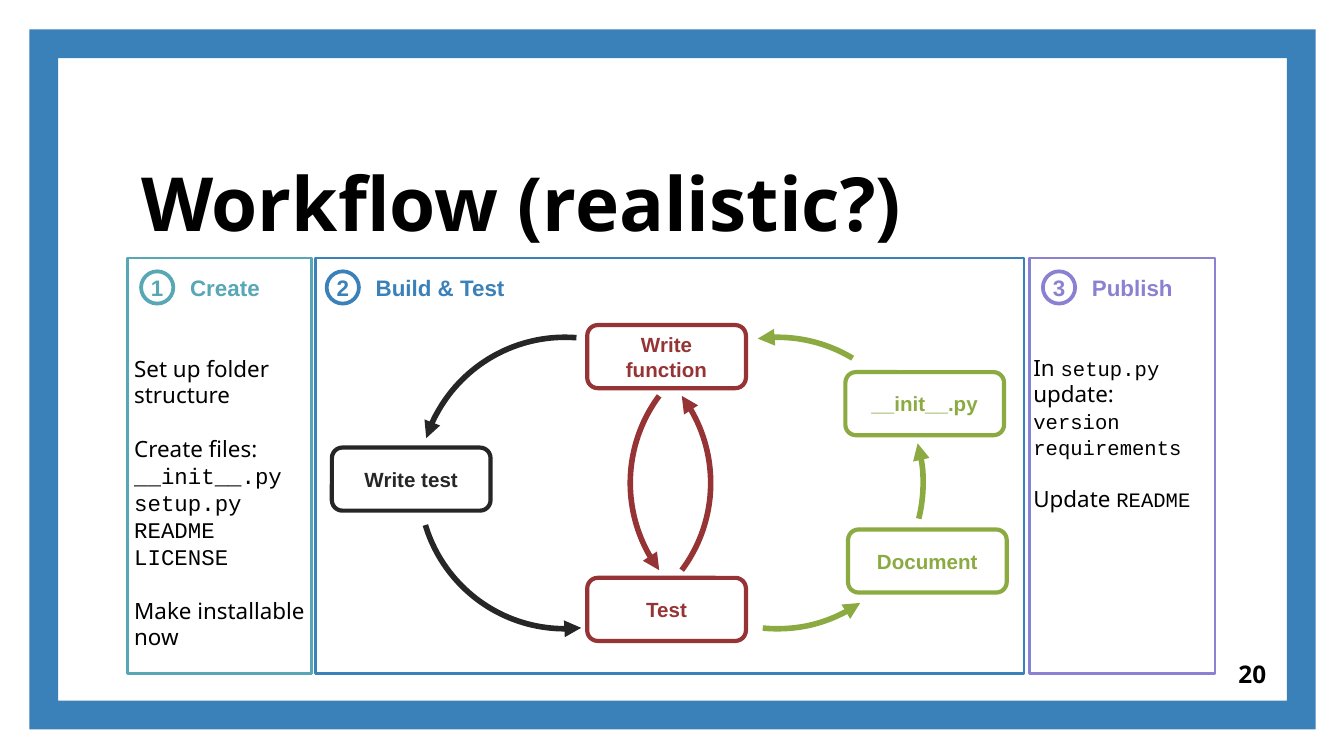
import pptx
import pptx.util
import pptx.dml.color
import pptx.enum.shapes
import pptx.enum.text
import lxml.etree
from pptx.oxml.ns import qn

Pt = pptx.util.Pt
Kind = pptx.enum.shapes.MSO_SHAPE
Align = pptx.enum.text.PP_ALIGN
Anchor = pptx.enum.text.MSO_ANCHOR

THEME = {
    "blue": "3A81BA", "teal": "57A7B5", "violet": "8B81D2", "red": "963334",
    "dark": "262626", "green": "8BAB42", "black": "000000",
    "sans": "Noto Sans", "label": "Arial", "code": "Courier New",
    "title": 40, "page": 13, "head": 12, "body": 12, "small": 11,
}

# Content
TITLE = "Workflow (realistic?)"
PAGE = "20"

# Panel: name, colour, left, width, badge left
PANELS = [
    ("Create", "teal", 68.4, 98.6, 75.6),
    ("Build & Test", "blue", 169.2, 379.4, 175),
    ("Publish", "violet", 551.5, 99.4, 558.7),
]

# Step: text, colour, left, top
STEPS = [
    ("Write test", "dark", 177.8, 239.8),
    ("Test", "red", 314.6, 309.6),
    ("Write\u0020function", "red", 314.6, 174.2),
    ("Document", "green", 454.3, 283.7),
    ("__init__.py", "green", 452.9, 199.4),
]

# Arc: colour, left of its circle, start and end angle (arrowhead at start)
ARCS = [
    ("red", 224.6, 323.29, 36.73),
    ("red", 337.7, 143.27, 216.71),
    ("dark", 224.6, 197.92, 274.53),
    ("dark", 224.6, 83.62, 163.23),
    ("green", 338.4, 262.27, 301.09),
    ("green", 338.4, 55.36, 95.74),
    ("green", 338.4, 344.2, 14.15),
]

# Note: left, height, line pitch, code size, paragraphs (gap before, runs)
NOTES = [
    (64.8, 167, 14.4, "body", [
        (False, [("Set up folder structure", "sans")]),
        (True, [("Create files: ", "sans"), ("__init__.py", "code")]),
        (False, [("setup.py", "code")]),
        (False, [("README", "code")]),
        (False, [("LICENSE", "code")]),
        (True, [("Make installable now", "sans")]),
    ]),
    (546.5, 92.2, 14, "small", [
        (False, [("In ", "sans"), ("setup.py", "code"), (" update:", "sans")]),
        (False, [("version", "code")]),
        (False, [("requirements", "code")]),
        (True, [("Update ", "sans"), ("README", "code")]),
    ]),
]


def rgb(key):
    return pptx.dml.color.RGBColor.from_string(THEME[key])


def put(para, text, face, size, tint, bold=False):
    run = para.add_run()
    run.text = text
    run.font.name = THEME[face]
    run.font.size = Pt(THEME[size])
    run.font.color.rgb = rgb(tint)
    run.font.bold = bold


def shape(kind, box, tint, width):
    item = slide.shapes.add_shape(kind, *map(Pt, box))
    item.shadow.inherit = False
    item.fill.background()
    item.line.color.rgb = rgb(tint)
    item.line.width = Pt(width)
    return item


def center(item, text, size, tint):
    frame = item.text_frame
    frame.vertical_anchor = Anchor.MIDDLE
    para = frame.paragraphs[0]
    para.alignment = Align.CENTER
    put(para, text, "label", size, tint, True)


def inset(frame, size):
    frame.margin_left = frame.margin_right = Pt(size)
    frame.margin_top = frame.margin_bottom = Pt(size)


def textbox(box, wrap=True):
    frame = slide.shapes.add_textbox(*map(Pt, box)).text_frame
    frame.word_wrap = wrap
    return frame


deck = pptx.Presentation()
deck.slide_width, deck.slide_height = Pt(720), Pt(405)
slide = deck.slides.add_slide(deck.slide_layouts[5])

# Border
border = shape(Kind.FRAME, (15.8, 15.8, 689, 375), "blue", 1)
border.adjustments[0] = 0.041
border.fill.solid()
border.fill.fore_color.rgb = rgb("blue")
border.line.fill.background()

# Title
title = slide.shapes.title
title.left, title.top, title.width, title.height = map(Pt, (68.4, 67, 471, 72))
frame = title.text_frame
frame.auto_size = pptx.enum.text.MSO_AUTO_SIZE.NONE
frame.word_wrap = True
frame.vertical_anchor = Anchor.BOTTOM
inset(frame, 7.2)
frame.paragraphs[0].alignment = Align.LEFT
put(frame.paragraphs[0], TITLE, "sans", "title", "black", True)

# Page number
frame = textbox((642.2, 345.6, 43.2, 31))
frame.vertical_anchor = Anchor.MIDDLE
inset(frame, 7.2)
frame.paragraphs[0].alignment = Align.RIGHT
put(frame.paragraphs[0], PAGE, "sans", "page", "black", True)

# Panels with numbered headings
for num, (name, tint, left, width, spot) in enumerate(PANELS, 1):
    shape(Kind.RECTANGLE, (left, 138.2, width, 222.5), tint, 1.5)
    badge = shape(Kind.OVAL, (spot, 145.4, 17.3, 17.3), tint, 2)
    inset(badge.text_frame, 0)
    center(badge, str(num), "head", tint)
    frame = textbox((spot + 19.2, 143.3, 86, 21.6), False)
    put(frame.paragraphs[0], name, "label", "head", tint, True)

# Cycle arrows
for tint, left, start, end in ARCS:
    arc = shape(Kind.ARC, (left, 180.7, 156.2, 156.2), tint, 3)
    # An adjustment of 0.6 is one degree
    arc.adjustments[0], arc.adjustments[1] = start * 0.6, end * 0.6
    line = arc.line._get_or_add_ln()
    lxml.etree.SubElement(line, qn("a:headEnd"), type="triangle")

# Steps
for text, tint, left, top in STEPS:
    step = shape(Kind.ROUNDED_RECTANGLE, (left, top, 85, 33.8), tint, 2.25)
    center(step, text, "small", tint)

# Side notes
for left, height, pitch, small, paras in NOTES:
    frame = textbox((left, 186.5, 109.4, height))
    for num, (gap, runs) in enumerate(paras):
        para = frame.add_paragraph() if num else frame.paragraphs[0]
        para.line_spacing = Pt(pitch)
        if gap:
            para.space_before = Pt(pitch)
        for text, face in runs:
            put(para, text, face, small if face == "code" else "body", "black")

deck.save("out.pptx")
